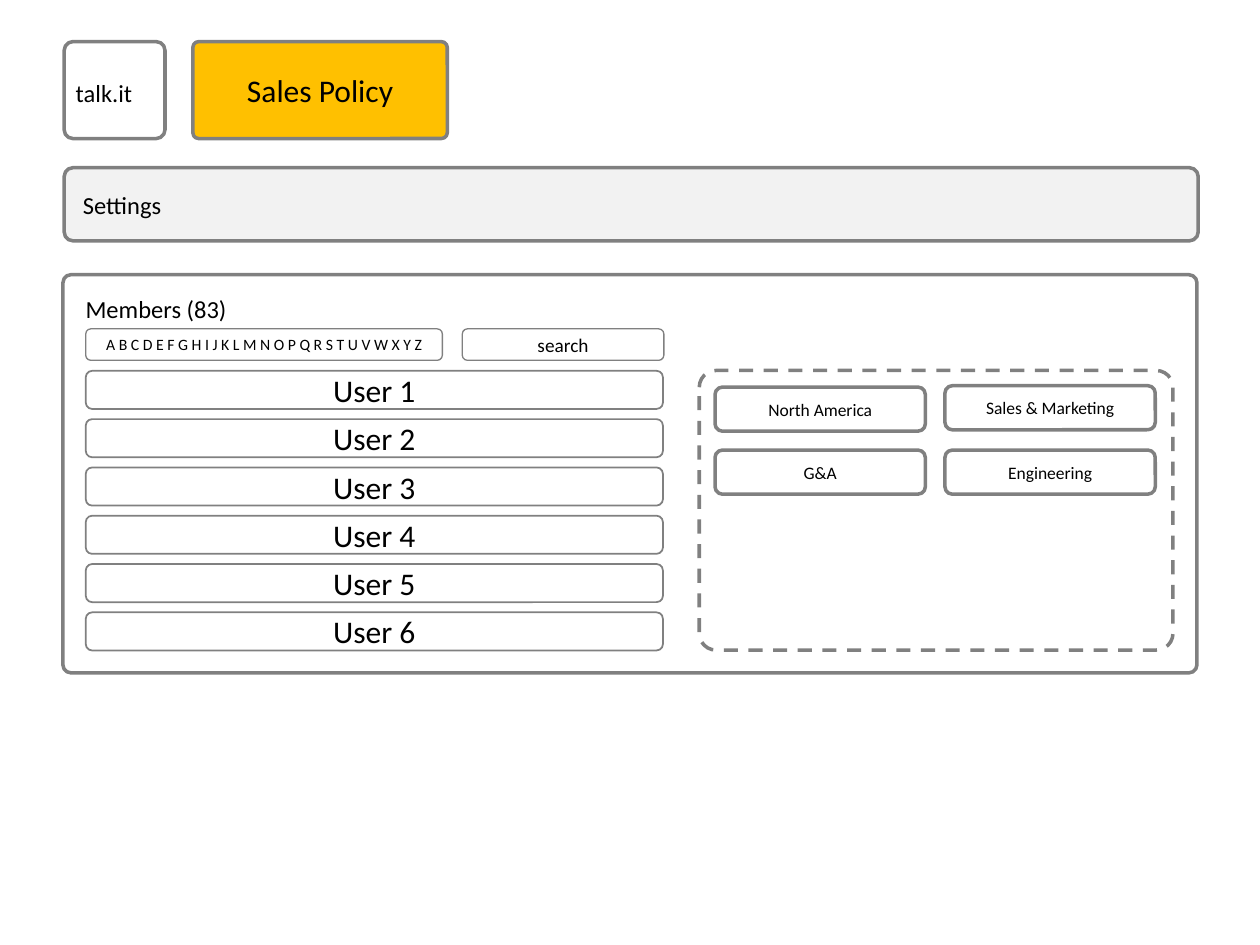
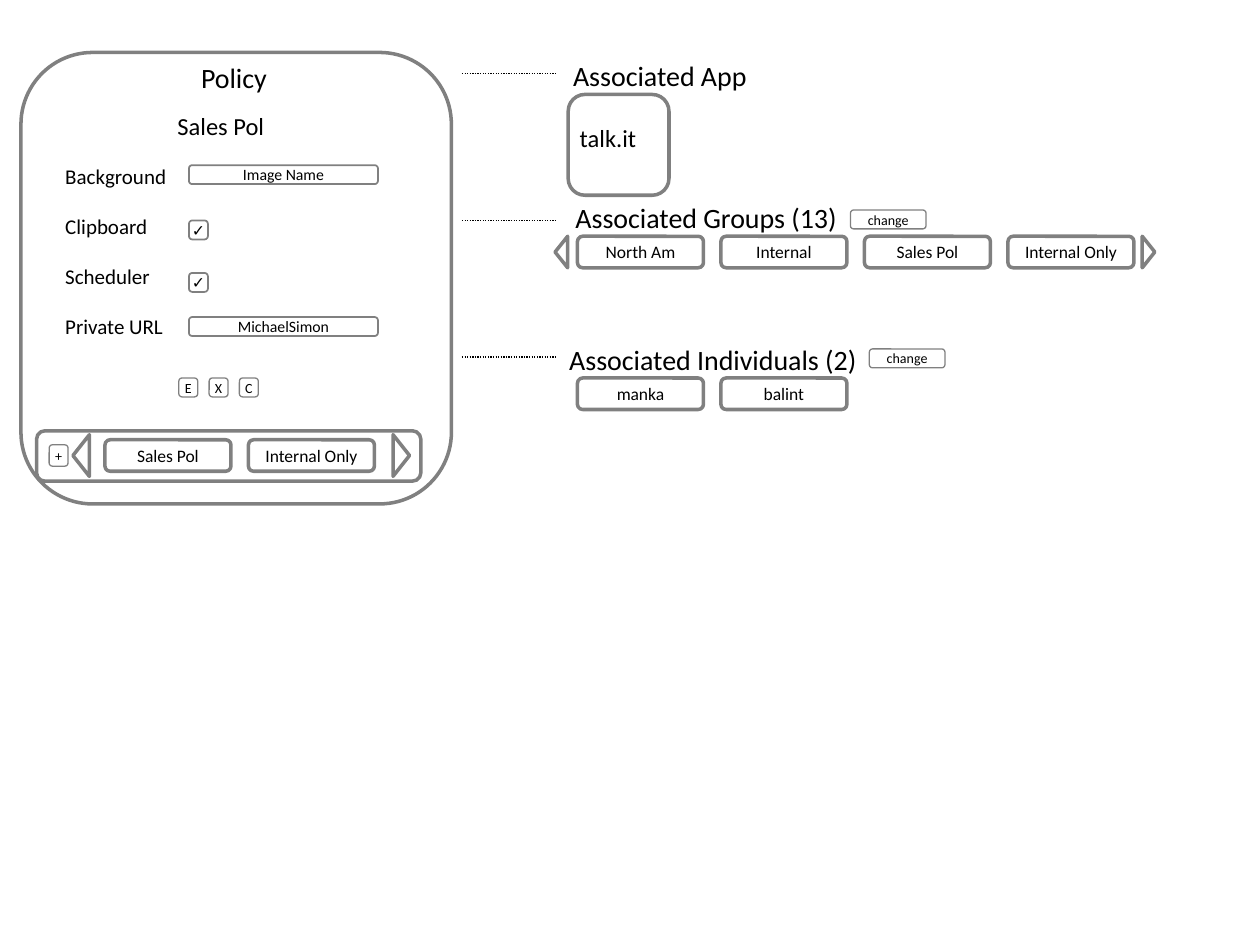
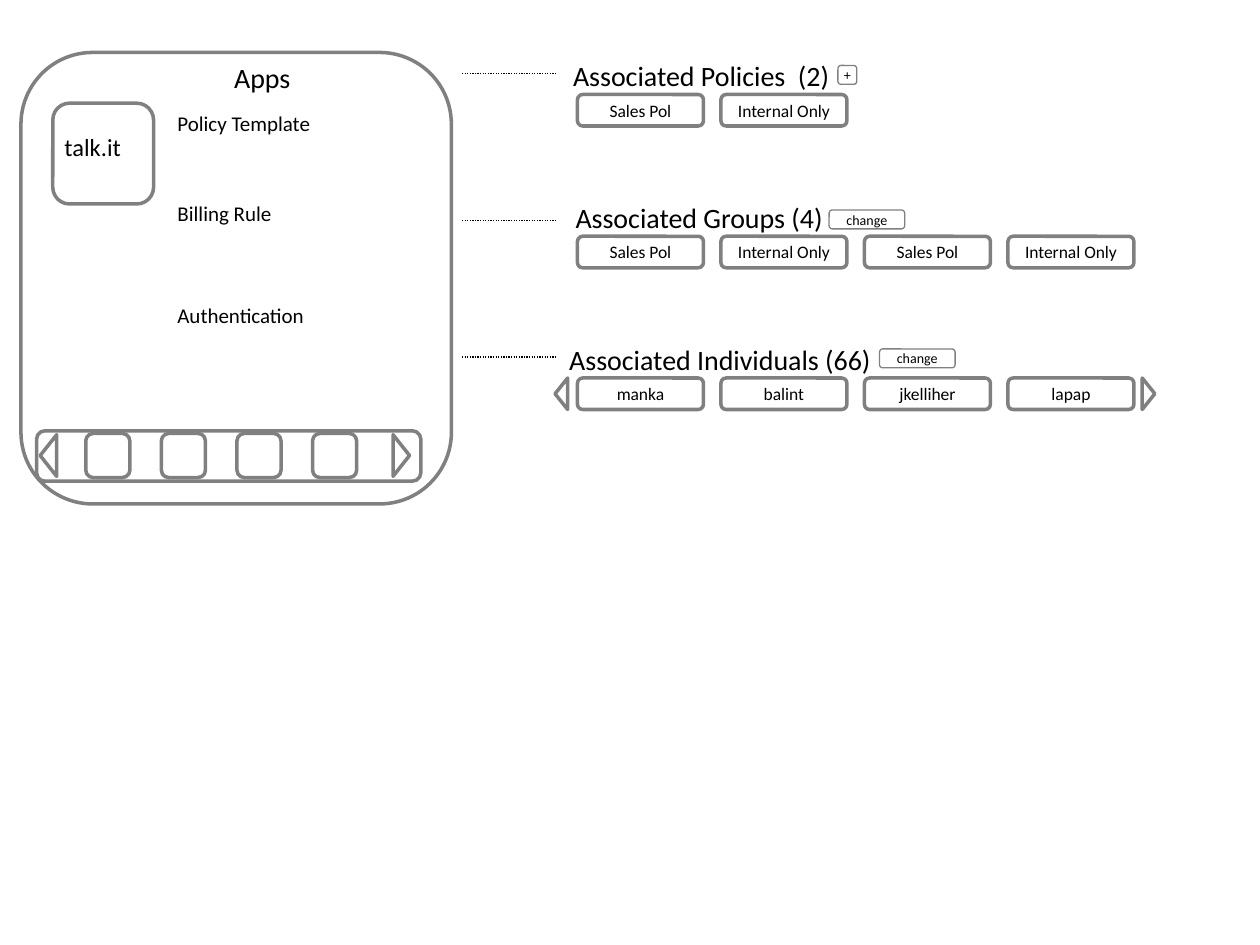
from pptx import Presentation
from pptx.dml.color import RGBColor
from pptx.enum.dml import MSO_LINE
from pptx.enum.shapes import MSO_CONNECTOR, MSO_SHAPE
from pptx.enum.text import MSO_ANCHOR, PP_ALIGN
from pptx.oxml.ns import qn
from pptx.util import Pt
from lxml import etree

ROUNDED, TRIANGLE = MSO_SHAPE.ROUNDED_RECTANGLE, MSO_SHAPE.ISOSCELES_TRIANGLE
STRAIGHT = MSO_CONNECTOR.STRAIGHT
DASH, DOTS = MSO_LINE.DASH, MSO_LINE.ROUND_DOT
MIDDLE, LEFT, CENTER = MSO_ANCHOR.MIDDLE, PP_ALIGN.LEFT, PP_ALIGN.CENTER

# Shared look
FONT = "Calibri"
BLACK = RGBColor(0, 0, 0)
GRAY = RGBColor(0x80, 0x80, 0x80)
PALE = RGBColor(0xF2, 0xF2, 0xF2)
AMBER = RGBColor(0xFF, 0xC0, 0x00)
THICK, MEDIUM, THIN = 2, 1, 0.75

# Shared layout, in points
CHIP_WIDTH, CHIP_HEIGHT, CHIP_STEP = 72, 18, 82
CHIPS_LEFT = 330
SECTION_TOP, SECTION_STEP, HEADING_HEIGHT = 30, 81, 24
BUTTON_WIDTH, SMALL = 43.2, 10.8
DOTTED_LINES = (42, 126, 204)
TOOLBAR_MIDDLE = 260.3

# Content
APP = "talk.it"

MEMBERS = [f"User {number}" for number in range(1, 7)]
ALPHABET = " ".join("ABCDEFGHIJKLMNOPQRSTUVWXYZ")
GROUP_TAGS = [  # text, left, top
    ("North America", 408.6, 221.2),
    ("Sales & Marketing", 540, 220.4),
    ("G&A", 408.6, 257.2),
    ("Engineering", 540, 257.2),
]

POLICY_FIELDS = ["Background", "Clipboard", "Scheduler", "Private URL"]
POLICY_INPUTS = [  # text, top, width
    ("Image Name", 94.4, 108),
    ("✓", 126, SMALL),
    ("✓", 156, SMALL),
    ("MichaelSimon", 181.2, 108),
]
POLICY_ACTIONS = ["E", "X", "C"]
POLICIES = ["Sales Pol", "Internal Only"]

APP_FIELDS = [("Policy Template", 59.8, 91.4), ("Billing Rule", 111.2, 68.4),
              ("Authentication", 169.2, 90.7)]  # text, top, width
APP_TILES = 4

# Each heading: text, left, width; each button: text, left, top
POLICY_SECTIONS = [
    dict(heading=("Associated App", 320.4, 114.5)),
    dict(heading=("Associated Groups (13)", 321.8, 165.6),
         button=("change", 486, 120),
         chips=["North Am", "Internal", "Sales Pol", "Internal Only"], scrolls=True),
    dict(heading=("Associated Individuals (2)", 318.2, 180.7),
         button=("change", 496.8, 199.4), chips=["manka", "balint"]),
]
APP_SECTIONS = [
    dict(heading=("Associated Policies  (2)", 320.4, 162.7),
         button=("+", 478.8, 37.4), chips=POLICIES),
    dict(heading=("Associated Groups (4)", 321.8, 157.7),
         button=("change", 473.8, 120), chips=POLICIES * 2),
    dict(heading=("Associated Individuals (66)", 318.2, 188.6),
         button=("change", 502.6, 199.4),
         chips=["manka", "balint", "jkelliher", "lapap"], scrolls=True),
]


def style(paragraph, text, size, alignment):
    paragraph.text = text
    paragraph.alignment = alignment
    paragraph.font.name = FONT
    paragraph.font.size = Pt(size)
    paragraph.font.color.rgb = BLACK


def outline(shape, weight, fill=None):
    shape.shadow.inherit = False
    if fill is None:
        shape.fill.background()
    else:
        shape.fill.solid()
        shape.fill.fore_color.rgb = fill
    shape.line.color.rgb = GRAY
    shape.line.width = Pt(weight)


def box(shapes, left, top, width, height, text="", size=10, weight=THICK,
        fill=None, corner=None):
    shape = shapes.add_shape(ROUNDED, Pt(left), Pt(top), Pt(width), Pt(height))
    outline(shape, weight, fill)
    if corner is not None:
        shape.adjustments[0] = corner
    if text:
        frame = shape.text_frame
        frame.margin_left = frame.margin_right = 0
        frame.margin_top = frame.margin_bottom = 0
        frame.word_wrap = False
        frame.vertical_anchor = MIDDLE
        style(frame.paragraphs[0], text, size, CENTER)
    return shape


def label(shapes, left, top, width, height, lines, size, alignment=LEFT, gap=0):
    frame = shapes.add_textbox(Pt(left), Pt(top), Pt(width), Pt(height)).text_frame
    frame.word_wrap = alignment == CENTER
    for index, text in enumerate(lines):
        paragraph = frame.add_paragraph() if index else frame.paragraphs[0]
        style(paragraph, text, size, alignment)
        paragraph.space_before = Pt(gap if index else 0)


def arrow(shapes, center, middle, rotation, length=18, depth=7.2):
    """Triangle turned to the left (270) or right (90) about its centre."""
    shape = shapes.add_shape(TRIANGLE, Pt(center - length / 2),
                             Pt(middle - depth / 2), Pt(length), Pt(depth))
    outline(shape, THICK)
    shape.rotation = rotation


def dotted_line(shapes, y):
    line = shapes.add_connector(STRAIGHT, Pt(264), Pt(y), Pt(318), Pt(y))
    line.line.color.rgb = BLACK
    line.line.width = Pt(THIN)
    line.line.dash_style = DOTS
    etree.SubElement(line._element.spPr, qn("a:effectLst"))


def chip_row(shapes, left, top, texts):
    for column, text in enumerate(texts):
        box(shapes, left + column * CHIP_STEP, top, CHIP_WIDTH, CHIP_HEIGHT, text)


def app_tile(shapes, left, top, text_top, height=57.6, corner=None):
    label(shapes, left - 0.5, text_top, 58.3, 24.2, [APP], 14)
    box(shapes, left, top, 57.6, height, corner=corner)


def card(shapes):
    box(shapes, 12, 30, 246, 258)


def toolbar(shapes, left_arrow):
    """Group holding the bar and its two arrows."""
    parts = shapes.add_group_shape().shapes
    box(parts, 20.9, 246.2, 219.6, 28.8)
    for center, rotation in ((229.3, 90), (left_arrow, 270)):
        arrow(parts, center, TOOLBAR_MIDDLE, rotation, 23.8, 9.4)
    return parts


def associations(shapes, sections):
    for index, section in enumerate(sections):
        top = SECTION_TOP + index * SECTION_STEP
        text, left, width = section["heading"]
        label(shapes, left, top, width, 26.6, [text], 16)
        dotted_line(shapes, DOTTED_LINES[index])
        chips_top = top + HEADING_HEIGHT
        chip_row(shapes, CHIPS_LEFT, chips_top, section.get("chips", []))
        if section.get("scrolls"):
            arrow(shapes, 320.8, chips_top + CHIP_HEIGHT / 2, 270)
            arrow(shapes, 656.3, chips_top + CHIP_HEIGHT / 2, 90)
        if "button" in section:
            text, left, button_top = section["button"]
            width = SMALL if text == "+" else BUTTON_WIDTH
            box(shapes, left, button_top, width, SMALL, text, 8, THIN)


presentation = Presentation()
presentation.slide_width, presentation.slide_height = Pt(720), Pt(540)
blank = presentation.slide_layouts[6]

# Slide 1: policy settings and members
shapes = presentation.slides.add_slide(blank).shapes
app_tile(shapes, 36.7, 23.8, 41, 55.4, 0.09)
box(shapes, 110.2, 23.8, 145.4, 55.4, "Sales Policy", 18, fill=AMBER, corner=0.06)
box(shapes, 36.7, 95.8, 648, 41.8, fill=PALE, corner=0.12)
label(shapes, 40.3, 105.1, 60.5, 24.2, ["Settings"], 14)
box(shapes, 36, 157, 648, 227.5, corner=0.02)
label(shapes, 41.8, 164.2, 95.8, 24.2, ["Members (83)"], 14)
box(shapes, 49, 187.9, 203.8, 18, ALPHABET, 9, THIN)
box(shapes, 264.2, 187.9, 115.2, 18, "search", 11, THIN)
for row, member in enumerate(MEMBERS):
    box(shapes, 49, 211.9 + row * 27.6, 329.8, 21.8, member, 18, MEDIUM)
box(shapes, 399.6, 211.7, 270.7, 159.8, corner=0.06).line.dash_style = DASH
for text, left, top in GROUP_TAGS:
    box(shapes, left, top, 120.2, 25.2, text)

# Slide 2: one policy and what it is associated with
shapes = presentation.slides.add_slide(blank).shapes
card(shapes)
label(shapes, 12, 31, 243.4, 26.6, ["Policy"], 16, CENTER)
label(shapes, 94.3, 59.8, 64.8, 24.2, ["Sales Pol"], 14)
label(shapes, 30.2, 90, 72.7, 108.7, POLICY_FIELDS, 12, gap=14.2)
for text, top, width in POLICY_INPUTS:
    box(shapes, 108, top, width, SMALL, text, 9, MEDIUM)
actions = shapes.add_group_shape().shapes
for column, text in enumerate(POLICY_ACTIONS):
    box(actions, 102.2 + column * 17.3, 216, SMALL, SMALL, text, 8, THIN)
toolbar(shapes, 46.4)
chip_row(shapes, 60, 251.3, POLICIES)
box(shapes, 28.1, 254.2, SMALL, 12.2, "+", 8, THIN)
associations(shapes, POLICY_SECTIONS)
app_tile(shapes, 324.7, 54, 67)

# Slide 3: one app and what it is associated with
shapes = presentation.slides.add_slide(blank).shapes
card(shapes)
label(shapes, 126.7, 31, 46.8, 26.6, ["Apps"], 16)
app_tile(shapes, 30.2, 59, 72)
for text, top, width in APP_FIELDS:
    label(shapes, 94.3, top, width, 21.6, [text], 12)
tools = toolbar(shapes, 27.7)
for column in range(APP_TILES):
    box(tools, 49 + column * 43.2, 247.7, 25.2, 25.2)
associations(shapes, APP_SECTIONS)

presentation.save("out.pptx")
